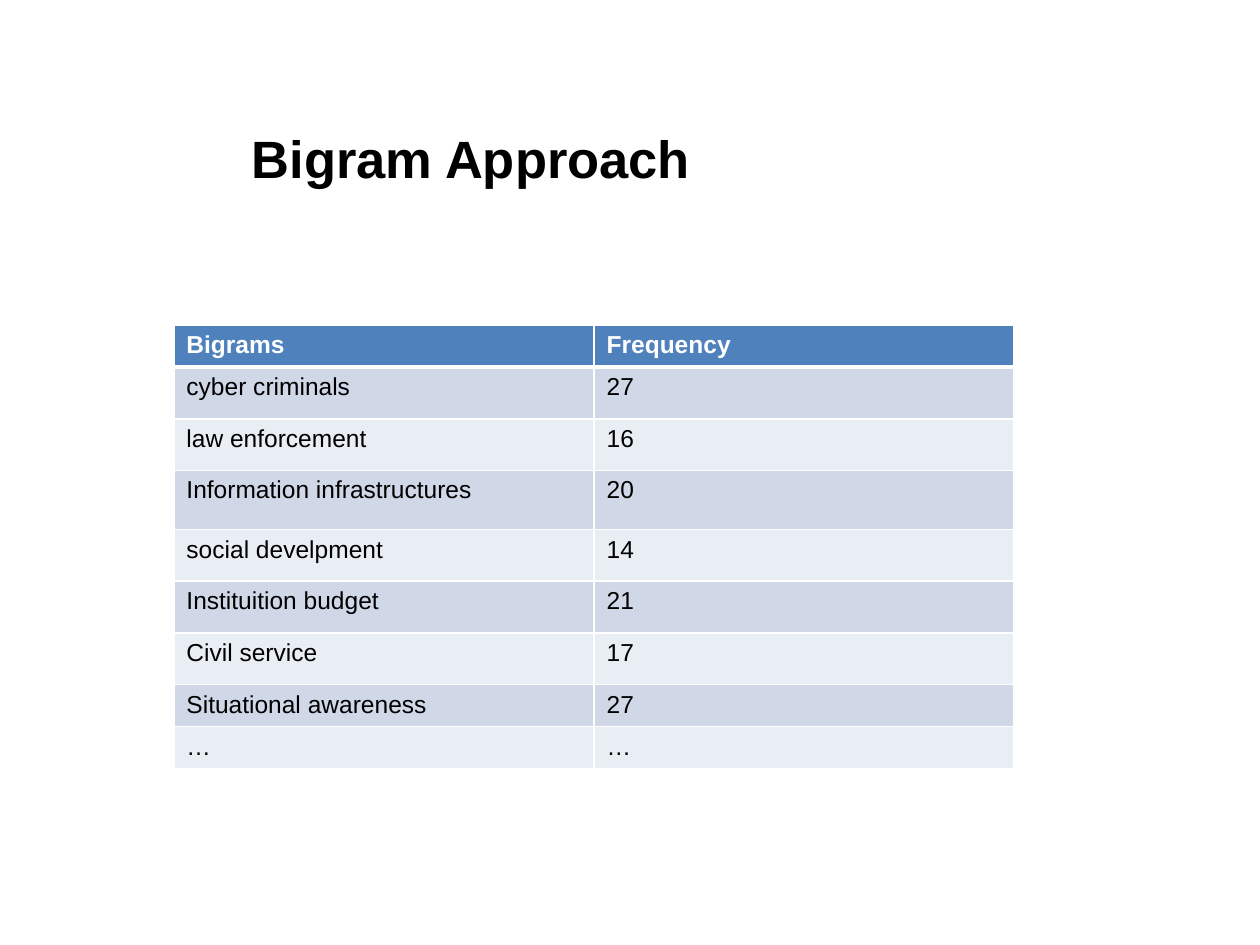
from typing import NamedTuple

from lxml import etree
from pptx import Presentation
from pptx.dml.color import RGBColor
from pptx.enum.text import MSO_ANCHOR
from pptx.oxml.ns import qn
from pptx.util import Inches, Pt

MIDDLE = MSO_ANCHOR.MIDDLE
FONT = "Arial"
BLACK, WHITE = "000000", "FFFFFF"
HEADER_FILL = "4F81BD"
BAND_FILLS = ("D0D8E8", "E9EDF4")
THIN, THICK = 1, 3


class BigramRow(NamedTuple):
    bigram: str
    frequency: str
    height: float = 0.41


ROWS = (
    BigramRow("Bigrams", "Frequency", 0.28),
    BigramRow("cyber criminals", "27"),
    BigramRow("law enforcement", "16"),
    BigramRow("Information infrastructures", "20", 0.47),
    BigramRow("social develpment", "14"),
    BigramRow("Instituition budget", "21"),
    BigramRow("Civil service", "17"),
    BigramRow("Situational awareness", "27", 0.2),
    BigramRow("…", "…", 0.2),
)


def color(value: str) -> RGBColor:
    return RGBColor.from_string(value)


def add_span(para, text: str, size: float, ink: str, bold: bool) -> None:
    span = para.add_run()
    span.text = text
    span.font.name = FONT
    span.font.size = Pt(size)
    span.font.bold = bold
    span.font.color.rgb = color(ink)


def set_borders(cell, top: float, bottom: float) -> None:
    properties = cell._tc.get_or_add_tcPr()
    for side, width in (("L", THIN), ("R", THIN), ("T", top), ("B", bottom)):
        line = etree.SubElement(properties, qn(f"a:ln{side}"), w=str(Pt(width)))
        fill = etree.SubElement(line, qn("a:solidFill"))
        etree.SubElement(fill, qn("a:srgbClr"), val=WHITE)


def add_title(page, text: str) -> None:
    box = page.shapes.add_textbox(Inches(1.9), Inches(0.92), Inches(4.9), Inches(0.66))
    frame = box.text_frame
    frame.word_wrap = True
    frame.vertical_anchor = MIDDLE
    add_span(frame.paragraphs[0], text, 30, BLACK, True)


def add_bigram_table(page, rows: tuple[BigramRow, ...]) -> None:
    table = page.shapes.add_table(
        len(rows), 2, Inches(1.38), Inches(2.58), Inches(6.67), Inches(3.5)
    ).table
    for index, row in enumerate(rows):
        table.rows[index].height = Inches(row.height)
        header = index == 0
        fill = HEADER_FILL if header else BAND_FILLS[(index - 1) % 2]
        for column, text in enumerate((row.bigram, row.frequency)):
            cell = table.cell(index, column)
            # The rule under the header is shared with the first body row
            set_borders(cell, THICK if index == 1 else THIN, THICK if header else THIN)
            cell.fill.solid()
            cell.fill.fore_color.rgb = color(fill)
            para = cell.text_frame.paragraphs[0]
            add_span(para, text, 14, WHITE if header else BLACK, header)


# Page
deck = Presentation()
deck.slide_width, deck.slide_height = Inches(10), Inches(7.5)
page = deck.slides.add_slide(deck.slide_layouts[6])

# Title and table
add_title(page, "Bigram Approach")
add_bigram_table(page, ROWS)

deck.save("out.pptx")
